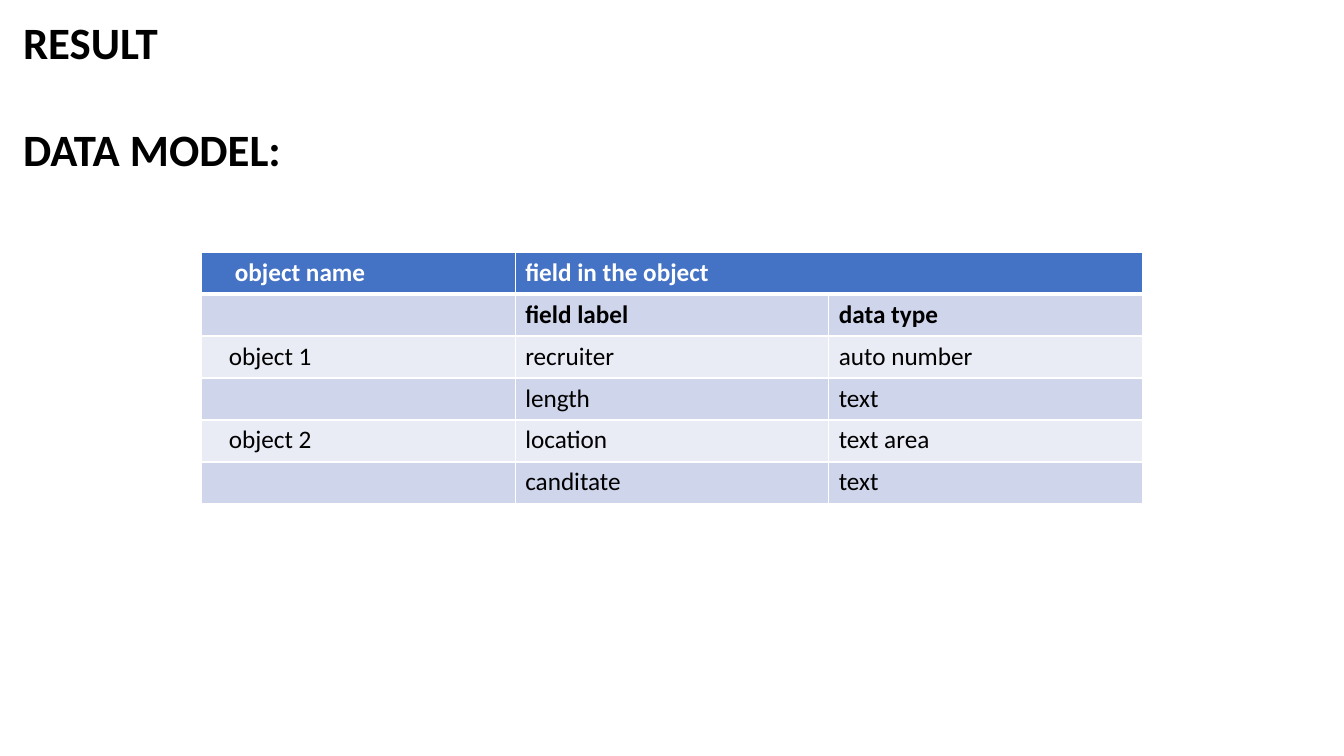
from lxml import etree
from pptx import Presentation
from pptx.dml.color import RGBColor
from pptx.enum import text
from pptx.oxml import ns
from pptx.util import Inches, Pt

HEADINGS = ["RESULT", "DATA MODEL:"]
ROWS = [
    ("object name", "field in the object", ""),
    ("", "field label", "data type"),
    ("object 1", "recruiter", "auto number"),
    ("", "length", "text"),
    ("object 2", "location", "text area"),
    ("", "canditate", "text"),
]
FONT = "Calibri"
BLACK = RGBColor(0x00, 0x00, 0x00)
WHITE = RGBColor(0xFF, 0xFF, 0xFF)
HEADER = RGBColor(0x44, 0x72, 0xC4)
BANDS = [RGBColor(0xE9, 0xEB, 0xF5), RGBColor(0xCF, 0xD5, 0xEA)]


def add_run(para, words, size, color, bold):
    span = para.add_run()
    span.text = words
    span.font.name = FONT
    span.font.size = Pt(size)
    span.font.bold = bold
    span.font.color.rgb = color


def set_borders(cell, widths):
    props = cell._tc.get_or_add_tcPr()
    for index, (side, width) in enumerate(widths.items()):
        line = etree.Element(ns.qn(f"a:ln{side}"), w=str(Pt(width)))
        fill = etree.SubElement(line, ns.qn("a:solidFill"))
        etree.SubElement(fill, ns.qn("a:srgbClr"), val=str(WHITE))
        props.insert(index, line)


def add_headings(page):
    box = page.shapes.add_textbox(Inches(0.13), Inches(0.1), Inches(12.28), Inches(1.75))
    frame = box.text_frame
    frame.word_wrap = True
    frame.vertical_anchor = text.MSO_ANCHOR.MIDDLE
    for index, heading in enumerate(HEADINGS):
        para = frame.add_paragraph() if index else frame.paragraphs[0]
        para.line_spacing = 0.9
        para.space_before = Pt(42 if index else 0)
        add_run(para, heading, 32, BLACK, True)


def add_data_model(page):
    table = page.shapes.add_table(
        len(ROWS), len(ROWS[0]), Inches(2), Inches(2.5), Inches(9.33), Inches(2.5)
    ).table
    for r, row in enumerate(ROWS):
        for c, words in enumerate(row):
            cell = table.cell(r, c)
            cell.fill.solid()
            cell.fill.fore_color.rgb = BANDS[r % 2] if r else HEADER
            set_borders(cell, {"L": 1, "R": 1, "T": 3 if r == 1 else 1, "B": 1 if r else 3})
            if c == 0:
                cell.margin_left = Inches(0.27 if r else 0.33)
            para = cell.text_frame.paragraphs[0]
            para.font.size = Pt(18)
            if words:
                add_run(para, words, 18, BLACK if r else WHITE, r < 2)
    table.cell(0, 1).merge(table.cell(0, 2))


def main():
    deck = Presentation()
    deck.slide_width, deck.slide_height = Inches(13.33), Inches(7.5)
    page = deck.slides.add_slide(deck.slide_layouts[6])
    add_headings(page)
    add_data_model(page)
    deck.save("out.pptx")


if __name__ == "__main__":
    main()
